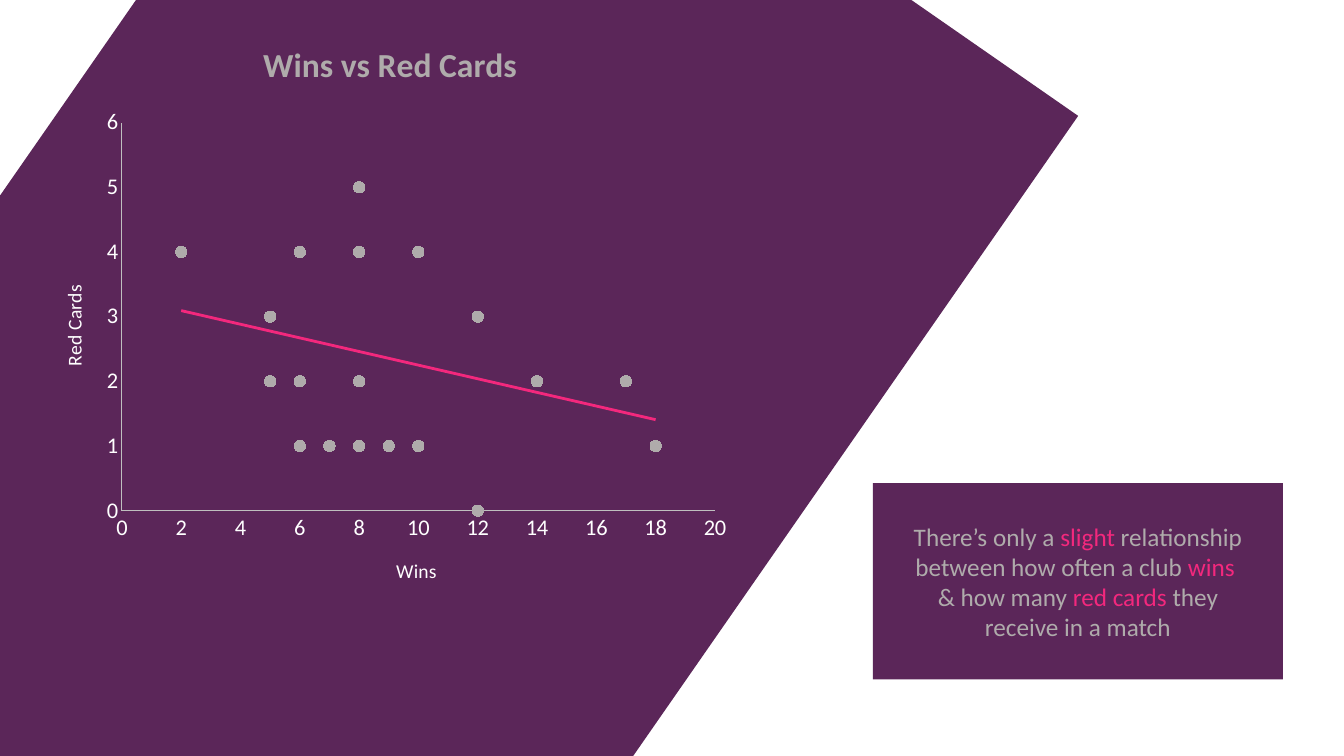
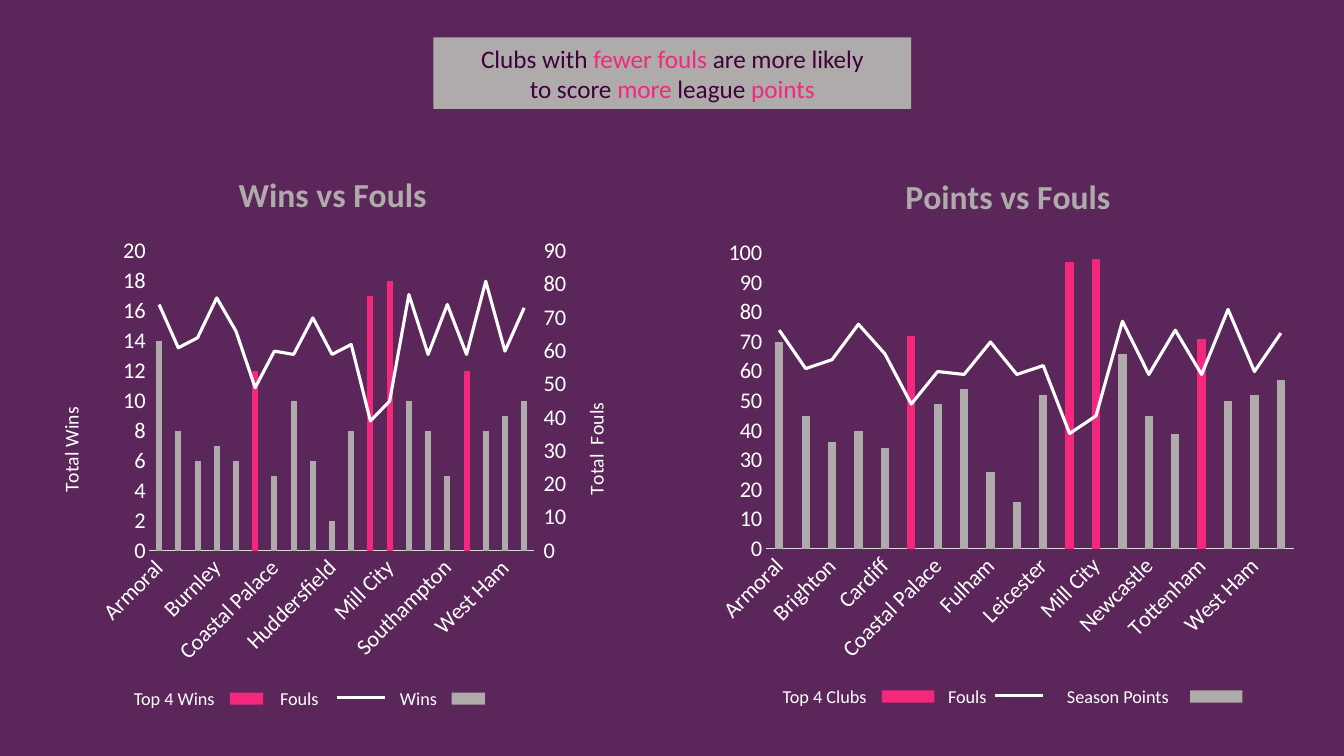
from copy import deepcopy

from pptx import Presentation
from pptx import util as u
from pptx.chart import axis as ax
from pptx.chart import data as cd
from pptx.dml.color import RGBColor
from pptx.enum import chart as ce
from pptx.enum import shapes, text
from pptx.oxml import parse_xml
from pptx.oxml.ns import nsdecls, qn

WIDTH, HEIGHT = 13.33, 7.5
COLUMNS, ROWS = 80, 45
FONT = "Calibri"
PLUM, PINK, GREY, WHITE = "3F013C", "F3287D", "AFABAB", "FFFFFF"

CLUBS = ["Armoral", "Bournemouth", "Brighton", "Burnley", "Cardiff", "Chelsea",
         "Coastal Palace", "Elverton", "Fulham", "Huddersfield", "Leicester",
         "Liverpool", "Mill City", "Mill United", "Newcastle", "Southampton",
         "Tottenham", "Watford", "West Ham", "Foxes"]
TOP_FOUR = [5, 11, 12, 16]
WINS = [14, 8, 6, 7, 6, 12, 5, 10, 6, 2, 8, 17, 18, 10, 8, 5, 12, 8, 9, 10]
RED_CARDS = [2, 1, 4, 1, 1, 0, 2, 4, 2, 4, 5, 2, 1, 4, 2, 3, 3, 4, 1, 1]
FOULS = [74, 61, 64, 76, 66, 49, 60, 59, 70, 59, 62, 39, 45, 77, 59, 74, 59, 81, 60, 73]
POINTS = [70, 45, 36, 40, 34, 72, 49, 54, 26, 16, 52, 97, 98, 66, 45, 39, 71, 50, 52, 57]


def color(value):
    return RGBColor.from_string(value)


def across(columns):
    return u.Inches(columns * WIDTH / COLUMNS)


def down(rows):
    return u.Inches(rows * HEIGHT / ROWS)


def place(box):
    """Turn (left, top, width, height) in columns and rows into lengths."""
    left, top, width, height = box
    return across(left), down(top), across(width), down(height)


def style_font(font, size, tint, bold=False):
    font.name, font.size, font.bold = FONT, u.Pt(size), bold
    font.color.rgb = color(tint)


def add_run(para, words, size, tint, bold=False):
    span = para.add_run()
    span.text = words
    style_font(span.font, size, tint, bold)


def add_panel(page, box, fill, opacity=100):
    panel = page.shapes.add_shape(shapes.MSO_SHAPE.RECTANGLE, *place(box))
    panel.shadow.inherit = False
    panel.line.fill.background()
    panel.fill.solid()
    panel.fill.fore_color.rgb = color(fill)
    if opacity < 100:
        tone = panel.fill._xPr.find(".//" + qn("a:srgbClr"))
        tone.append(parse_xml(f'<a:alpha {nsdecls("a")} val="{opacity * 1000}"/>'))
    return panel


def add_message(page, box, lines, tint, fill, opacity=100):
    """A filled panel of centred lines; spans marked with * are pink."""
    frame = add_panel(page, box, fill, opacity).text_frame
    frame.word_wrap = True
    frame.vertical_anchor = text.MSO_ANCHOR.MIDDLE
    for number, line in enumerate(lines):
        para = frame.add_paragraph() if number else frame.paragraphs[0]
        para.alignment = text.PP_ALIGN.CENTER
        for order, words in enumerate(line.split("*")):
            if words:
                add_run(para, words, 18, PINK if order % 2 else tint)


def set_layout(parent, index, box, spot):
    """Fix a chart part at a slide grid spot, with or without a size."""
    for old in parent.findall(qn("c:layout")):
        parent.remove(old)
    left, top, width, height = box
    shares = [(spot[0] - left) / width, (spot[1] - top) / height]
    rules = '<c:xMode val="edge"/><c:yMode val="edge"/>'
    if len(spot) == 4:
        shares += [spot[2] / width, spot[3] / height]
        rules = '<c:layoutTarget val="inner"/>' + rules
    for name, share in zip("xywh", shares):
        rules += f'<c:{name} val="{share:.4f}"/>'
    parent.insert(index, parse_xml(
        f'<c:layout {nsdecls("c")}><c:manualLayout>{rules}</c:manualLayout></c:layout>'))


def style_axis(axis, line=None, title=None, top=None, step=None, upright=False):
    axis.has_major_gridlines = False
    axis.major_tick_mark = axis.minor_tick_mark = ce.XL_TICK_MARK.NONE
    style_font(axis.tick_labels.font, 16, WHITE)
    if line:
        axis.format.line.color.rgb = color(line)
        axis.format.line.width = u.Pt(0.75)
    else:
        axis.format.line.fill.background()
    if top:
        axis.minimum_scale, axis.maximum_scale, axis.major_unit = 0, top, step
    axis.has_title = bool(title)
    if title:
        frame = axis.axis_title.text_frame
        add_run(frame.paragraphs[0], title, 14, WHITE)
        if upright:
            frame._txBody.bodyPr.set("rot", "-5400000")
            frame._txBody.bodyPr.set("vert", "horz")


def add_chart(page, kind, box, data, title, plot_box):
    chart = page.shapes.add_chart(kind, *place(box), data).chart
    style_font(chart.font, 10, "000000")
    chart.has_legend = False
    chart.has_title = True
    add_run(chart.chart_title.text_frame.paragraphs[0], title, 24, GREY, True)
    chart.chart_title.include_in_layout = False
    set_layout(chart._chartSpace.chart.plotArea, 0, box, plot_box)
    return chart


def add_scatter(page, box, plot_box):
    data = cd.XyChartData()
    dots = data.add_series("Red Cards")
    for wins, cards in zip(WINS, RED_CARDS):
        dots.add_data_point(wins, cards)
    chart = add_chart(page, ce.XL_CHART_TYPE.XY_SCATTER, box, data,
                      "Wins vs Red Cards", plot_box)
    style_axis(chart.category_axis, "BFBFBF", "Wins", 20, 2)
    style_axis(chart.value_axis, "BFBFBF", "Red Cards", 6, 1, upright=True)
    chart.plots[0].vary_by_categories = False
    series = chart.plots[0].series[0]
    series.format.line.fill.background()
    series.marker.style, series.marker.size = ce.XL_MARKER_STYLE.CIRCLE, 8
    series.marker.format.fill.solid()
    series.marker.format.fill.fore_color.rgb = color(GREY)
    series.marker.format.line.color.rgb = color(GREY)
    series._element.find(qn("c:xVal")).addprevious(parse_xml(
        f'<c:trendline {nsdecls("c", "a")}><c:spPr><a:ln w="{u.Pt(2)}"><a:solidFill>'
        f'<a:srgbClr val="{PINK}"/></a:solidFill></a:ln></c:spPr>'
        '<c:trendlineType val="linear"/><c:dispRSqr val="0"/><c:dispEq val="0"/></c:trendline>'))


def add_right_axis(chart, line_plot, **style):
    """Give the line plot its own value axis at the right."""
    ids = {}
    last = chart.value_axis._element
    for number, axis in enumerate((chart.category_axis, chart.value_axis), 1):
        ids[axis._element.find(qn("c:axId")).get("val")] = str(9000 + number)
    for axis in (chart.category_axis, chart.value_axis):
        twin = deepcopy(axis._element)
        for tag in ("c:axId", "c:crossAx"):
            link = twin.find(qn(tag))
            link.set("val", ids[link.get("val")])
        last.addnext(twin)
        last = twin
    last.getprevious().find(qn("c:delete")).set("val", "1")
    last.find(qn("c:axPos")).set("val", "r")
    last.find(qn("c:crosses")).set("val", "max")
    for link in line_plot.findall(qn("c:axId")):
        link.set("val", ids[link.get("val")])
    right = ax.ValueAxis(last)
    right.has_title = False
    style_axis(right, upright=True, **style)
    right.major_tick_mark = ce.XL_TICK_MARK.OUTSIDE
    return right


def add_combo(page, box, title, name, values, plot_box, skip, left, right=None, title_spots=()):
    """Columns per club, the top four in pink, with fouls as a line."""
    data = cd.CategoryChartData()
    data.categories = CLUBS
    data.add_series(name, values)
    data.add_series("Fouls", FOULS)
    chart = add_chart(page, ce.XL_CHART_TYPE.COLUMN_CLUSTERED, box, data, title, plot_box)
    style_axis(chart.category_axis, "D9D9D9")
    clubs = chart.category_axis._element
    clubs.find(qn("c:txPr")).find(qn("a:bodyPr")).set("rot", "-2700000")
    clubs.find(qn("c:noMultiLvlLbl")).addprevious(
        parse_xml(f'<c:tickLblSkip {nsdecls("c")} val="{skip}"/>'))
    style_axis(chart.value_axis, upright=True, **left)

    columns = chart.plots[0]
    columns.vary_by_categories, columns.gap_width = False, 219
    bars, fouls = columns.series
    bars.format.fill.solid()
    bars.format.fill.fore_color.rgb = color(GREY)
    for club in TOP_FOUR:
        fill = bars.points[club].format.fill
        fill.solid()
        fill.fore_color.rgb = color(PINK)

    line_plot = parse_xml(f'<c:lineChart {nsdecls("c")}><c:grouping val="standard"/>'
                          '<c:varyColors val="0"/><c:marker val="1"/></c:lineChart>')
    moved = fouls._element
    for flag in moved.findall(qn("c:invertIfNegative")):
        moved.remove(flag)
    line_plot.insert(2, moved)
    for link in columns._element.findall(qn("c:axId")):
        line_plot.append(deepcopy(link))
    columns._element.addnext(line_plot)
    line = chart.plots[1].series[0]
    line.smooth = False
    line.marker.style = ce.XL_MARKER_STYLE.NONE
    line.format.line.color.rgb = color(WHITE)
    line.format.line.width = u.Pt(2.25)
    value_axes = [chart.value_axis]
    if right:
        value_axes.append(add_right_axis(chart, line_plot, **right))
    for axis, spot in zip(value_axes, title_spots):
        set_layout(axis.axis_title._element, 1, box, spot)


def add_legend(page, left, top, swatch, entries):
    """Entries are (words, label column, mark column, swatch fill or None for a line)."""
    for words, label_at, mark_at, fill in entries:
        label = page.shapes.add_textbox(*place((left + label_at, top, 8, 1.6)))
        label.text_frame.word_wrap = True
        add_run(label.text_frame.paragraphs[0], words, 13, WHITE)
        start = left + mark_at
        if fill:
            add_panel(page, (start, top + 0.6, swatch, 0.72), fill)
            continue
        level = down(top + 0.9)
        rule = page.shapes.add_connector(shapes.MSO_CONNECTOR.STRAIGHT,
                                         across(start), level, across(start + 2.88), level)
        rule.line.color.rgb = color(WHITE)
        rule.line.width = u.Pt(2.25)
        rule._element.spPr.append(parse_xml(f'<a:effectLst {nsdecls("a")}/>'))


def build_red_cards(page):
    add_panel(page, (-10.44, -4.08, 68.88, 49.98), PLUM, 85).rotation = 304.8
    add_scatter(page, (2.34, 1.14, 41.76, 34.98), (7.26, 7.3, 35.3, 23.1))
    add_message(page, (51.96, 28.76, 24.4, 11.68), [
        "There’s only a *slight* relationship",
        "between how often a club *wins *",
        "& how many *red cards* they",
        "receive in a match"], GREY, PLUM, 85)


def build_fouls(page):
    add_panel(page, (0, 0, COLUMNS, ROWS), PLUM, 85)
    add_combo(page, (2.28, 8.94, 35.04, 31.08), "Wins vs Fouls", "Wins", WINS,
              (8.9, 14.96, 22.88, 17.83), 3,
              dict(title="Total Wins", top=20, step=2),
              dict(title="Total  Fouls", top=90, step=10),
              [(3.2, 24), (34.45, 23.75)])
    add_combo(page, (42.24, 9.06, 35.52, 30.84), "Points vs Fouls", "Season Points", POINTS,
              (45.6, 15.08, 31.43, 17.6), 2, dict(top=100, step=10))
    add_legend(page, 7.38, 40.62, 1.98, [
        ("Top 4 Wins", 0, 6.3, PINK), ("Fouls", 8.7, 12.66, None), ("Wins", 15.84, 19.5, GREY)])
    add_legend(page, 46, 40.5, 3.12, [
        ("Top 4 Clubs", 0, 6.5, PINK), ("Fouls", 9.84, 13.2, None),
        ("Season Points", 16.92, 24.84, GREY)])
    add_message(page, (25.8, 2.22, 28.44, 4.26), [
        "Clubs with *fewer fouls *are more likely",
        "to score *more* league *points*"], PLUM, GREY)


def main():
    deck = Presentation()
    deck.slide_width, deck.slide_height = u.Inches(WIDTH), u.Inches(HEIGHT)
    for build in (build_red_cards, build_fouls):
        build(deck.slides.add_slide(deck.slide_layouts[6]))
    deck.save("out.pptx")


if __name__ == "__main__":
    main()
